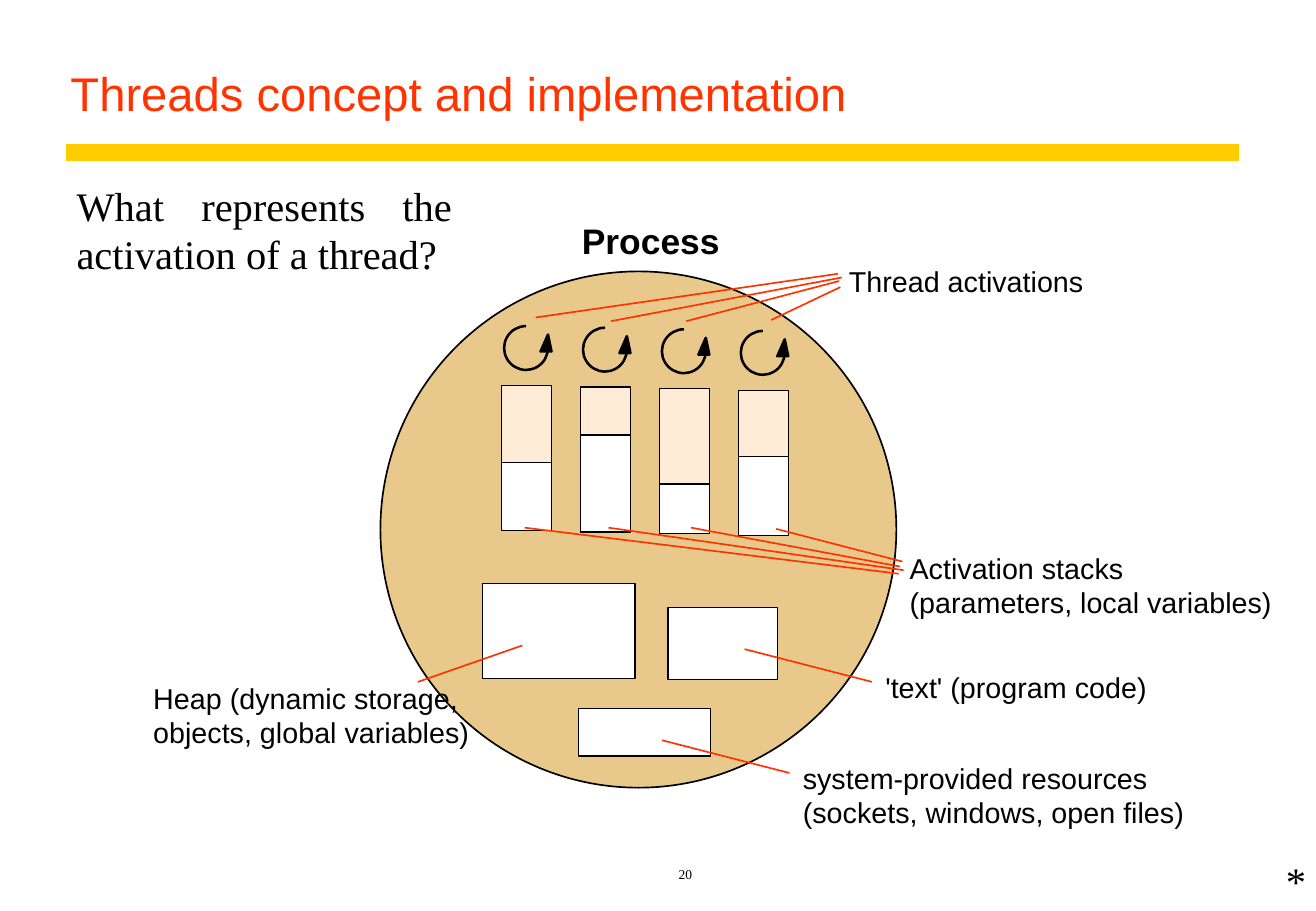
from copy import deepcopy

from lxml import etree
from pptx import Presentation
from pptx.dml.color import RGBColor
from pptx.enum.shapes import MSO_CONNECTOR, MSO_SHAPE
from pptx.enum.text import MSO_ANCHOR, MSO_AUTO_SIZE, PP_ALIGN
from pptx.oxml.ns import qn
from pptx.util import Pt

STRAIGHT = MSO_CONNECTOR.STRAIGHT
RECTANGLE, OVAL, ARC = MSO_SHAPE.RECTANGLE, MSO_SHAPE.OVAL, MSO_SHAPE.ARC
TOP, BOTTOM = MSO_ANCHOR.TOP, MSO_ANCHOR.BOTTOM
NO_AUTOFIT = MSO_AUTO_SIZE.NONE
LEFT, CENTER, JUSTIFY = PP_ALIGN.LEFT, PP_ALIGN.CENTER, PP_ALIGN.JUSTIFY

BLACK = RGBColor(0x00, 0x00, 0x00)
WHITE = RGBColor(0xFF, 0xFF, 0xFF)
RED = RGBColor(0xFF, 0x33, 0x00)
YELLOW = RGBColor(0xFF, 0xCC, 0x00)
TAN = RGBColor(0xE8, 0xC8, 0x8B)
PEACH = RGBColor(0xFF, 0xEC, 0xD7)
SANS, SERIF = "Arial", "Times New Roman"

SLIDE_WIDTH, SLIDE_HEIGHT = Pt(780.48), Pt(540)
THREAD_PITCH, THREAD_DROP = 46.8, 0.95
STACK_WIDTH, STACK_HEIGHT = 29.5, 85.7
USED_HEIGHTS = [40.3, 57.6, 29.5, 46.8]
MEMORY_AREAS = [
    (60.4, 185, 90.7, 56.2),
    (170.6, 199.4, 64.8, 42.5),
    (117.3, 259.2, 78.5, 28.1),
]
CALLOUTS = [
    ("Thread activations", (277.9, -4.4, 139, 20.2), [
        (231.8, 28.8, 272.8, 9.3), (181.4, 29.5, 272.1, 5.7),
        (136.8, 29.5, 273.6, 3.6), (92.1, 27.3, 271.4, 1.4)]),
    ("Activation stacks\v(parameters, local variables)", (313.9, 165.6, 215.3, 41), [
        (234.7, 152.6, 309.6, 172), (184.3, 151.9, 308.1, 174.9),
        (135.3, 151.9, 310.3, 177.1), (85.6, 151.9, 307.4, 179.2)]),
    ("'text' (program code)", (299.5, 236.1, 155.5, 20.2),
     [(216, 223.9, 291.6, 243.3)]),
    ("Heap (dynamic storage,\vobjects, global variables)", (-134.7, 242.6, 192.2, 41),
     [(22.3, 243.3, 84.2, 221.7)]),
    ("system-provided resources\n(sockets, windows, open files)",
     (250.5, 290.1, 226, 41), [(167, 277.9, 242.6, 297.3)]),
]


def write_text(frame, text, size, font=SANS, color=BLACK, bold=False, align=LEFT,
               anchor=TOP, inset=(0, 0), wrap=False, spacing=None):
    frame.auto_size = NO_AUTOFIT
    frame.word_wrap = wrap
    frame.vertical_anchor = anchor
    frame.margin_left = frame.margin_right = Pt(inset[0])
    frame.margin_top = frame.margin_bottom = Pt(inset[1])
    frame.text = text
    for paragraph in frame.paragraphs:
        paragraph.alignment = align
        paragraph.line_spacing = spacing
        for run in paragraph.runs:
            run.font.name = font
            run.font.size = Pt(size)
            run.font.bold = bold
            run.font.color.rgb = color
        for line_break in paragraph._p.findall(qn("a:br")):
            line_break.insert(0, deepcopy(paragraph.runs[0]._r.rPr))


def add_label(slide, box, text, size, **text_format):
    label = slide.shapes.add_textbox(*map(Pt, box))
    write_text(label.text_frame, text, size, **text_format)


def style_shape(shape, fill, width):
    shape.shadow.inherit = False
    if fill is None:
        shape.fill.background()
    else:
        shape.fill.solid()
        shape.fill.fore_color.rgb = fill
    shape.line.color.rgb = BLACK
    shape.line.width = Pt(width)


def add_figure(slide, preset, box, fill, width=0.75):
    figure = slide.shapes.add_shape(preset, *map(Pt, box))
    style_shape(figure, fill, width)
    return figure


def add_line(slide, ends, color, width):
    line = slide.shapes.add_connector(STRAIGHT, *map(Pt, ends))
    line.line.color.rgb = color
    line.line.width = Pt(width)
    etree.SubElement(line._element.spPr, qn("a:effectLst"))


def add_heading(slide, left, top, width, height):
    title = slide.shapes.title
    title.left, title.top = Pt(left), Pt(top)
    title.width, title.height = Pt(width), Pt(height)
    write_text(title.text_frame, "Threads concept and implementation", 28, color=RED,
               anchor=BOTTOM, inset=(7.2, 3.6), wrap=True, spacing=0.9)
    rule_y = top + height + 14.6
    add_line(slide, (left + 4.4, rule_y, left + width + 0.3, rule_y), YELLOW, 10)


def add_thread(slide, left, top, used_height):
    loop = add_figure(slide, ARC, (left + 1.4, top, 26, 26), None, 1.5)
    loop.adjustments[0] = 214.8
    loop.adjustments[1] = 162
    tip = slide.shapes.build_freeform(Pt(left + 23), Pt(top + 15))
    tip.add_line_segments([(Pt(left + 27.4), Pt(top + 5)),
                           (Pt(left + 29.5), Pt(top + 15))])
    style_shape(tip.convert_to_shape(), BLACK, 1.5)
    stack_top = top + 35.2
    add_figure(slide, RECTANGLE, (left, stack_top, STACK_WIDTH, STACK_HEIGHT), PEACH)
    used_top = stack_top + STACK_HEIGHT - used_height + 0.3
    add_figure(slide, RECTANGLE, (left, used_top, STACK_WIDTH, used_height), WHITE)


def add_process(slide, left, top, diameter):
    add_label(slide, (left + 119.5, top - 31, 82, 25.2), "Process", 21, bold=True)
    add_figure(slide, OVAL, (left, top, diameter, diameter), TAN, 1)
    for index, used_height in enumerate(USED_HEIGHTS):
        add_thread(slide, left + 72 + index * THREAD_PITCH,
                   top + 32.4 + index * THREAD_DROP, used_height)
    for x, y, width, height in MEMORY_AREAS:
        add_figure(slide, RECTANGLE, (left + x, top + y, width, height), WHITE)
    for text, (x, y, width, height), pointers in CALLOUTS:
        for x1, y1, x2, y2 in pointers:
            add_line(slide, (left + x1, top + y1, left + x2, top + y2), RED, 1)
        add_label(slide, (left + x, top + y, width, height), text, 17)


def add_footer(slide, left, top, width, height):
    add_label(slide, (left, top, width, height), "20", 8, font=SERIF, align=CENTER,
              anchor=BOTTOM, inset=(7.2, 3.6), wrap=True)
    add_label(slide, (left + 586.4, top - 0.3, 23.8, 36), "*", 24, font=SERIF,
              inset=(7.2, 3.6), wrap=True)


def main():
    presentation = Presentation()
    presentation.slide_width = SLIDE_WIDTH
    presentation.slide_height = SLIDE_HEIGHT
    slide = presentation.slides.add_slide(presentation.slide_layouts[5])
    add_heading(slide, 34.6, 18, 699.8, 57.6)
    add_label(slide, (38.3, 103.7, 236.9, 64.8),
              "What represents the activation of a thread?", 24, font=SERIF,
              align=JUSTIFY, inset=(7.2, 3.6), wrap=True)
    add_process(slide, 225.6, 160.9, 306)
    add_footer(slide, 169.2, 504.2, 474.5, 22.3)
    presentation.save("out.pptx")


if __name__ == "__main__":
    main()
